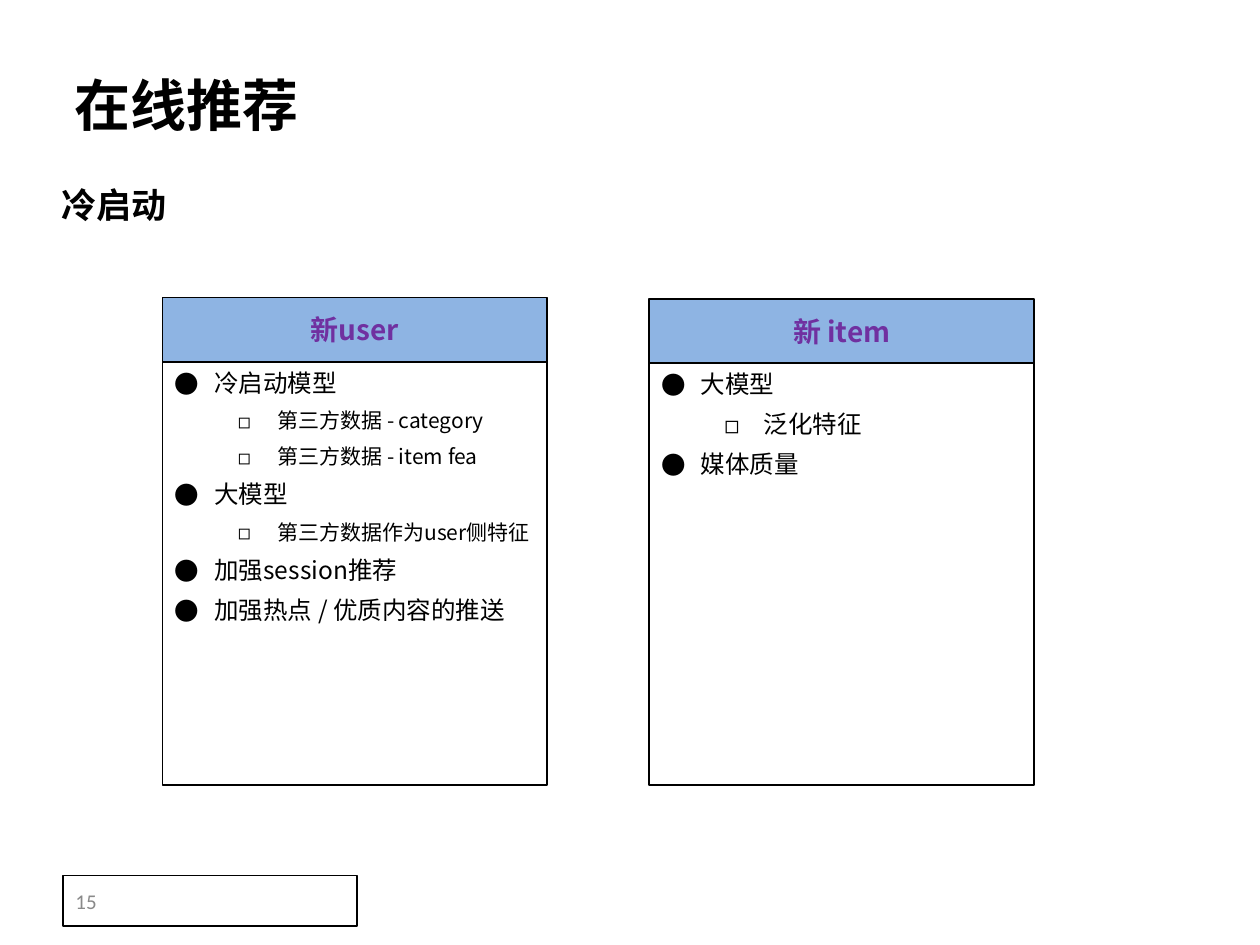
"""Build the cold start slide on online recommendation."""
from lxml.etree import SubElement
from pptx import Presentation
from pptx.dml.color import RGBColor
from pptx.enum.shapes import MSO_SHAPE as Shape
from pptx.enum.text import MSO_ANCHOR as Anchor, MSO_AUTO_SIZE as AutoSize, PP_ALIGN as Align
from pptx.oxml.ns import qn
from pptx.util import Pt

FONT = "Noto Sans CJK SC"
BLACK, WHITE, BLUE, PURPLE, GREY = "000000", "FFFFFF", "8EB4E3", "7030A0", "898989"
BULLETS = "●◻"
HEADER_HEIGHT = 36.7
USER_ITEMS = [
    ("冷启动模型", 0, 14),
    ("第三方数据 - category", 1, 12),
    ("第三方数据 - item fea", 1, 12),
    ("大模型", 0, 14),
    ("第三方数据作为user侧特征", 1, 12),
    ("加强session推荐", 0, 14),
    ("加强热点 / 优质内容的推送", 0, 14),
]
ITEM_ITEMS = [("大模型", 0, 14), ("泛化特征", 1, 14), ("媒体质量", 0, 14)]


def color(value):
    return RGBColor.from_string(value)


def write(para, text, size=14, name=FONT, fill=BLACK, bold=False, align=Align.LEFT):
    para.alignment = align
    span = para.add_run()
    span.text = text
    font = span.font
    font.size, font.name, font.bold = Pt(size), name, bold
    font.color.rgb = color(fill)
    SubElement(font._element, qn("a:ea"), typeface=name)


def add_bullet(para, level):
    para.level = level
    para.space_after = Pt(6)
    props = para._p.get_or_add_pPr()
    props.set("marL", str(Pt(22.5 + 36 * level)))
    props.set("indent", str(Pt(-22.5)))
    SubElement(SubElement(props, qn("a:buClr")), qn("a:srgbClr"), val=BLACK)
    SubElement(props, qn("a:buFont"), typeface=FONT)
    SubElement(props, qn("a:buChar"), char=BULLETS[level])


def add_label(page, bounds, text, wrap=True, spacing=1.0, **style):
    box = page.shapes.add_textbox(*map(Pt, bounds))
    frame = box.text_frame
    frame.word_wrap = wrap
    frame.auto_size = AutoSize.SHAPE_TO_FIT_TEXT
    para = frame.paragraphs[0]
    para.line_spacing = spacing
    write(para, text, **style)


def add_box(page, bounds, fill=WHITE, line_width=1, anchor=Anchor.MIDDLE):
    box = page.shapes.add_shape(Shape.RECTANGLE, *map(Pt, bounds))
    box.shadow.inherit = False
    box.fill.solid()
    box.fill.fore_color.rgb = color(fill)
    box.line.color.rgb = color(BLACK)
    box.line.width = Pt(line_width)
    frame = box.text_frame
    frame.word_wrap = True
    frame.vertical_anchor = anchor
    return frame


def add_card(page, left, top, width, height, heading, items):
    body = add_box(page, (left, top + HEADER_HEIGHT, width, height - HEADER_HEIGHT),
                   anchor=Anchor.TOP)
    for index, (text, level, size) in enumerate(items):
        para = body.add_paragraph() if index else body.paragraphs[0]
        write(para, text, size=size)
        add_bullet(para, level)
    header = add_box(page, (left, top, width, HEADER_HEIGHT), fill=BLUE)
    write(header.paragraphs[0], heading, size=16, fill=PURPLE, bold=True, align=Align.CENTER)


def main():
    deck = Presentation()
    deck.slide_width, deck.slide_height = Pt(720), Pt(540)
    page = deck.slides.add_slide(deck.slide_layouts[6])
    add_label(page, (35.3, 36.7, 142.5, 46), "在线推荐", wrap=False, size=32, bold=True)
    number = add_box(page, (36, 500.4, 168, 28.8), line_width=0.75)
    write(number.paragraphs[0], "15", size=12, name="Calibri", fill=GREY)
    add_label(page, (28, 89.3, 193, 43.2), "冷启动", spacing=1.5, size=20, bold=True)
    add_card(page, 92.9, 170, 219.6, 278.4, "新user", USER_ITEMS)
    add_card(page, 370.8, 170.7, 220.3, 277.8, "新 item", ITEM_ITEMS)
    deck.save("out.pptx")


if __name__ == "__main__":
    main()
